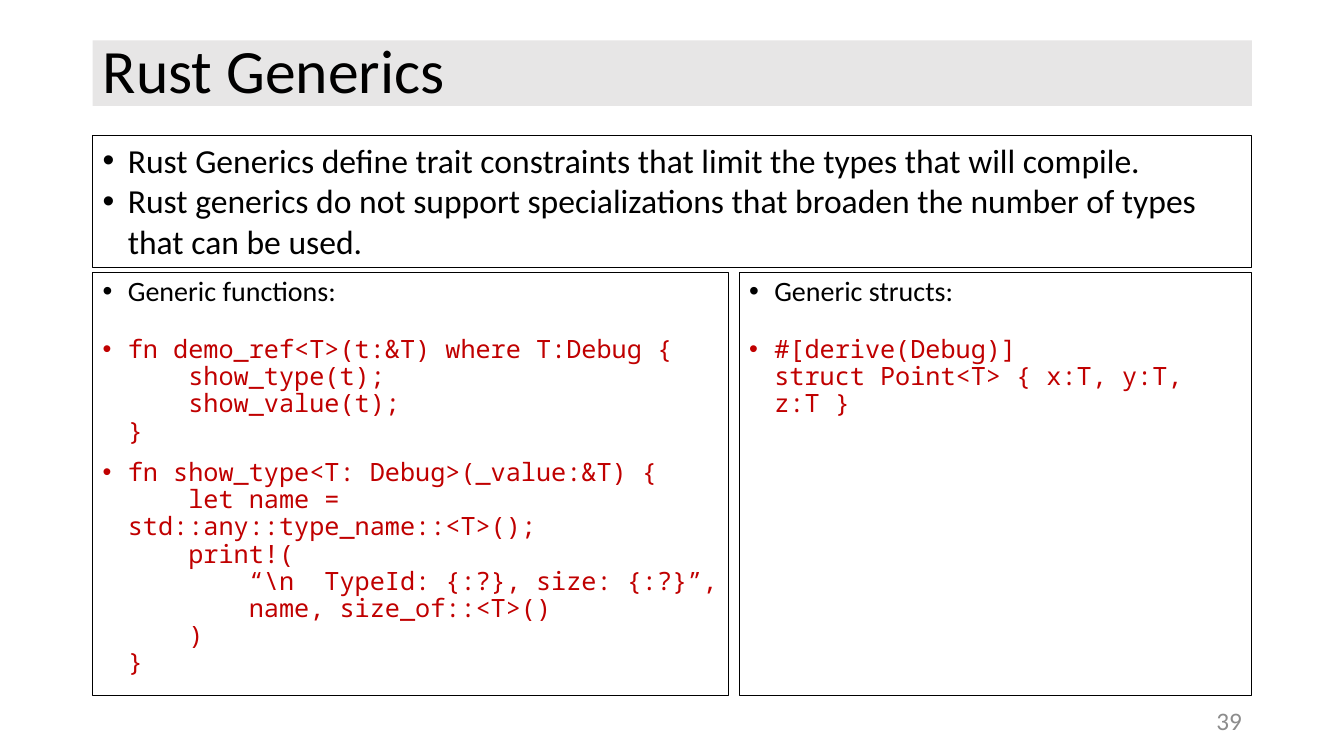
from pptx import Presentation
from pptx.dml.color import RGBColor
from pptx.enum.shapes import MSO_SHAPE
from pptx.enum.text import MSO_ANCHOR, PP_ALIGN
from pptx.oxml.ns import qn
from pptx.util import Pt
from lxml import etree

RECT = MSO_SHAPE.RECTANGLE
TOP, MIDDLE = MSO_ANCHOR.TOP, MSO_ANCHOR.MIDDLE
LEFT, RIGHT = PP_ALIGN.LEFT, PP_ALIGN.RIGHT

EDGE, WIDTH = 66.24, 828
SPLIT = 528
HANG, TAB = 18, 43.2
BODY_TOP, BODY_HIGH = 194.4, 302.4

POINTS = [
    "Rust Generics define trait constraints that limit the types that will compile.",
    "Rust generics do not support specializations that broaden the number of types that can be used.",
]
FUNCS = [
    """fn demo_ref<T>(t:&T) where T:Debug {
    show_type(t);
    show_value(t);
}""",
    r"""fn show_type<T: Debug>(_value:&T) {
    let name = std::any::type_name::<T>();
    print!(
        “\n  TypeId: {:?}, size: {:?}”,
        name, size_of::<T>()
    )
}""",
]
STRUCTS = [
    """#[derive(Debug)]
struct Point<T> { x:T, y:T, z:T }""",
]


def color(code):
    return RGBColor.from_string(code)


class Deck:
    sans, mono = "Calibri", "Noto Sans Mono"
    ink, code, gray, band, paper = "000000", "C00000", "8C8C8C", "E7E6E6", "FFFFFF"

    def __init__(self, wide, high):
        self.prs = Presentation()
        self.prs.slide_width, self.prs.slide_height = Pt(wide), Pt(high)
        self.slide = self.prs.slides.add_slide(self.prs.slide_layouts[6])

    def box(self, x, y, w, h, fill=None, line=None, anchor=TOP):
        """Add a rectangle and return its empty text frame."""
        shape = self.slide.shapes.add_shape(RECT, Pt(x), Pt(y), Pt(w), Pt(h))
        shape.shadow.inherit = False
        if fill:
            shape.fill.solid()
            shape.fill.fore_color.rgb = color(fill)
        else:
            shape.fill.background()
        if line:
            shape.line.color.rgb = color(line)
            shape.line.width = Pt(0.75)
        else:
            shape.line.fill.background()
        frame = shape.text_frame
        frame.word_wrap = True
        frame.vertical_anchor = anchor
        return frame

    def label(self, x, y, w, h, text, size, ink, align):
        """Add a text box with one line, centred in height."""
        frame = self.slide.shapes.add_textbox(Pt(x), Pt(y), Pt(w), Pt(h)).text_frame
        frame.word_wrap = True
        frame.vertical_anchor = MIDDLE
        self.para(frame, text, size, ink=ink, align=align)

    def para(self, frame, text, size, font=sans, ink=ink, align=LEFT, space=1.0, before=0):
        """Fill the first paragraph while it is empty, else add one."""
        first = frame.paragraphs[0]
        para = frame.add_paragraph() if first.runs else first
        para.alignment = align
        para.line_spacing = space
        para.space_before = Pt(before)
        run = para.add_run()
        run.text = text
        run.font.size, run.font.name = Pt(size), font
        run.font.color.rgb = color(ink)
        return para

    def indent(self, para, first, bullet):
        """Set the left margin, the first line's offset and the bullet."""
        props = para._p.get_or_add_pPr()
        props.set("marL", str(Pt(HANG)))
        props.set("indent", str(Pt(first)))
        if bullet:
            etree.SubElement(props, qn("a:buFont")).set("typeface", "Arial")
            etree.SubElement(props, qn("a:buChar")).set("char", "•")
        else:
            etree.SubElement(props, qn("a:buNone"))

    def point(self, frame, text, size, **style):
        self.indent(self.para(frame, text, size, **style), -HANG, True)

    def block(self, frame, source, before):
        """Add code: a bullet on its first line, deeper lines indented."""
        for row, line in enumerate(source.splitlines()):
            text = line.lstrip()
            depth = (len(line) - len(text)) // 4
            para = self.para(frame, text, 18, font=self.mono, ink=self.code,
                             space=0.9, before=0 if row else before)
            self.indent(para, depth * TAB if row else -HANG, row == 0)

    def panel(self, x, w, head, blocks):
        frame = self.box(x, BODY_TOP, w, BODY_HIGH, line=self.ink)
        self.point(frame, head, 20, space=0.9, before=10)
        for num, source in enumerate(blocks):
            self.block(frame, source, 10 if num else 21)


def main():
    deck = Deck(960, 540)
    title = deck.box(EDGE, 28.8, WIDTH, 46.8, fill=deck.band, anchor=MIDDLE)
    deck.para(title, "Rust Generics", 44, space=0.9)

    deck.panel(EDGE, 454.32, "Generic functions:", FUNCS)
    deck.panel(SPLIT, EDGE + WIDTH - SPLIT, "Generic structs:", STRUCTS)
    deck.label(678.24, 500.4, 216, 28.8, "39", 18, deck.gray, RIGHT)

    intro = deck.box(EDGE, 96.48, WIDTH, 94.32, fill=deck.paper, line=deck.ink)
    for text in POINTS:
        deck.point(intro, text, 24)

    deck.prs.save("out.pptx")


if __name__ == "__main__":
    main()
